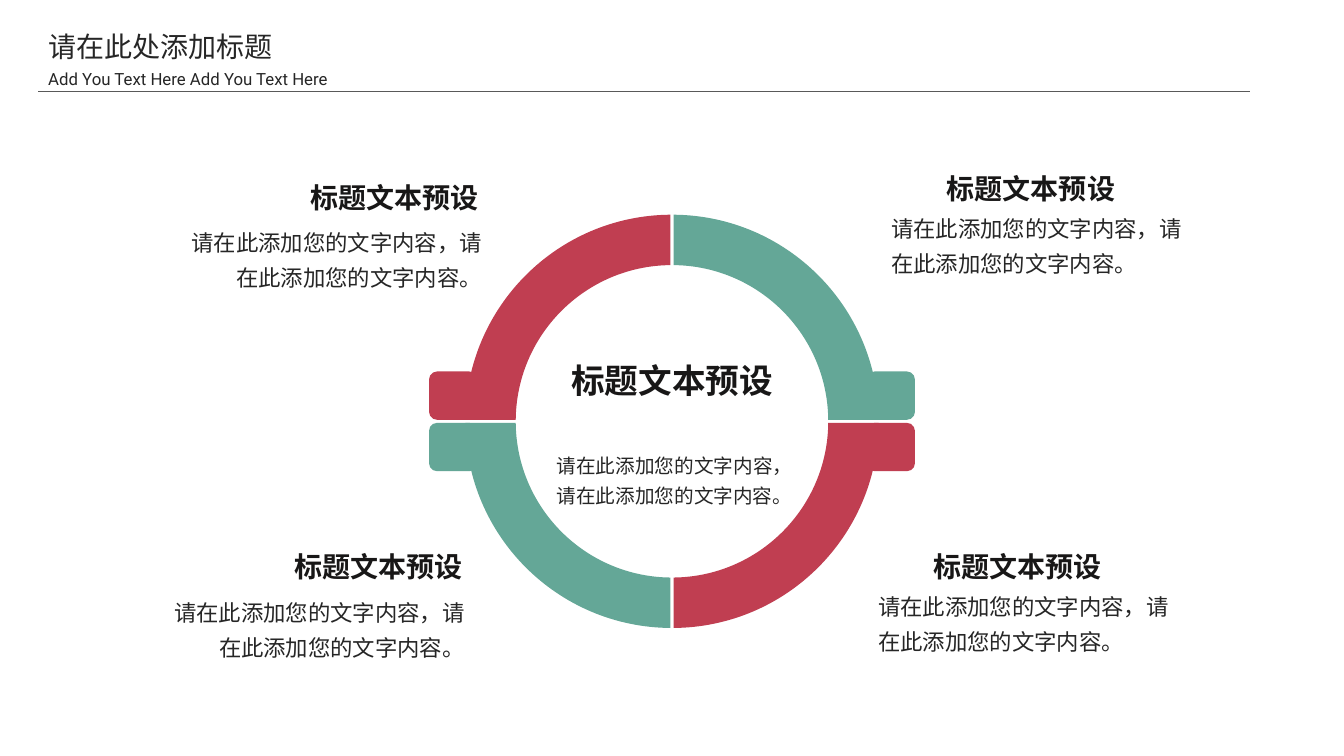
from dataclasses import dataclass
from math import asin, cos, pi, sin, tan

from lxml.etree import SubElement
from pptx import Presentation
from pptx.dml.color import RGBColor
from pptx.enum.lang import MSO_LANGUAGE_ID
from pptx.enum.shapes import MSO_CONNECTOR, MSO_SHAPE
from pptx.enum.text import MSO_ANCHOR, MSO_AUTO_SIZE, PP_ALIGN
from pptx.oxml.ns import qn
from pptx.util import Inches, Pt

TITLE = "请在此处添加标题"
SUBTITLE = "Add You Text Here Add You Text Here"
HEADING = "标题文本预设"
BODY = "请在此添加您的文字内容，请在此添加您的文字内容。"

LEFT, CENTER, RIGHT = PP_ALIGN.LEFT, PP_ALIGN.CENTER, PP_ALIGN.RIGHT
# heading left and top, body left and top, body alignment
CALLOUTS = [
    (2.54, 1.81, 1.89, 2.19, RIGHT),
    (2.38, 5.47, 1.72, 5.86, RIGHT),
    (8.85, 1.72, 8.84, 2.05, LEFT),
    (8.72, 5.47, 8.71, 5.80, LEFT),
]


@dataclass(frozen=True)
class Theme:
    font: str = "Roboto"
    teal: str = "64A797"
    red: str = "C03E51"
    dark: str = "181717"
    text: str = "262626"
    rule: str = "595959"
    center_size: int = 24
    heading_size: int = 20
    body_size: int = 16
    center_body_size: int = 14
    subtitle_size: int = 12


THEME = Theme()
WIDTH, HEIGHT = 13.33, 7.5
MARGIN = 0.38
CENTER_X, CENTER_Y = WIDTH / 2, 4.18
OUTER, INNER = 2.05, 1.55
HALF_GAP = 0.015
TAB, TAB_OFFSET = 0.48, 1.93
DEFAULT_INSETS = (0.1, 0.05)


def write(shape, text, *, size, color=THEME.text, bold=False, align=LEFT,
          anchor=MSO_ANCHOR.TOP, insets=(0, 0), spacing=None, grow=False):
    frame = shape.text_frame
    frame.word_wrap = True
    frame.auto_size = MSO_AUTO_SIZE.SHAPE_TO_FIT_TEXT if grow else MSO_AUTO_SIZE.NONE
    frame.vertical_anchor = anchor
    frame.margin_left = frame.margin_right = Inches(insets[0])
    frame.margin_top = frame.margin_bottom = Inches(insets[1])
    paragraph = frame.paragraphs[0]
    paragraph.alignment = align
    if spacing:
        paragraph.line_spacing = spacing
    run = paragraph.add_run()
    run.text = text
    run.font.name = THEME.font
    run.font.size = Pt(size)
    run.font.bold = bold
    run.font.color.rgb = RGBColor.from_string(color)
    if text != SUBTITLE:
        run.font.language_id = MSO_LANGUAGE_ID.SIMPLIFIED_CHINESE


def add_text(slide, box, text, **text_format):
    write(slide.shapes.add_textbox(*map(Inches, box)), text, **text_format)


def paint(shape, color):
    shape.shadow.inherit = False
    shape.fill.solid()
    shape.fill.fore_color.rgb = RGBColor.from_string(color)
    shape.line.fill.background()


def quarter_arc(radius, side_x, side_y):
    """Bezier start, two handles and end, from the vertical to the horizontal gap."""
    start = asin(HALF_GAP / radius)
    end = pi / 2 - start
    handle = 4 / 3 * tan((end - start) / 4)
    offsets = [
        (sin(start), cos(start)),
        (sin(start) + handle * cos(start), cos(start) - handle * sin(start)),
        (sin(end) - handle * cos(end), cos(end) + handle * sin(end)),
        (sin(end), cos(end)),
    ]
    return [(Inches(CENTER_X + side_x * radius * x),
             Inches(CENTER_Y + side_y * radius * y)) for x, y in offsets]


def curve_lines(lines):
    """Turn three straight segments into one cubic curve through the last point."""
    curve = lines[0].getparent().makeelement(qn("a:cubicBezTo"))
    lines[0].addprevious(curve)
    for line in lines:
        curve.append(line[0])
        line.getparent().remove(line)


def add_ring_quadrant(slide, side_x, side_y, color):
    points = quarter_arc(OUTER, side_x, side_y) + quarter_arc(INNER, side_x, side_y)[::-1]
    builder = slide.shapes.build_freeform(*points[0])
    builder.add_line_segments(points[1:], close=True)
    quadrant = builder.convert_to_shape()
    lines = list(quadrant._element.iter(qn("a:lnTo")))
    curve_lines(lines[:3])
    curve_lines(lines[4:7])
    paint(quadrant, color)


def add_tab(slide, side_x, side_y, color):
    left = CENTER_X + side_x * (TAB_OFFSET + TAB / 2) - TAB / 2
    top = CENTER_Y + side_y * (HALF_GAP + TAB / 2) - TAB / 2
    tab = slide.shapes.add_shape(
        MSO_SHAPE.ROUNDED_RECTANGLE, *map(Inches, (left, top, TAB, TAB)))
    paint(tab, color)


def add_header(slide):
    title = slide.shapes.title
    title.left, title.top, title.width, title.height = map(
        Inches, (MARGIN, 0.24, 2.75, 0.44))
    write(title, TITLE, size=THEME.heading_size, insets=DEFAULT_INSETS, grow=True)
    add_text(slide, (MARGIN, 0.57, 3.34, 0.34), SUBTITLE, size=THEME.subtitle_size,
             insets=DEFAULT_INSETS, spacing=1.3, grow=True)
    rule = slide.shapes.add_connector(
        MSO_CONNECTOR.STRAIGHT, *map(Inches, (MARGIN, 0.91, 12.4, 0.91)))
    rule.line.color.rgb = RGBColor.from_string(THEME.rule)
    rule.line.width = Pt(0.5)
    SubElement(rule._element.spPr, qn("a:effectLst"))


def main():
    presentation = Presentation()
    presentation.slide_width, presentation.slide_height = Inches(WIDTH), Inches(HEIGHT)
    slide = presentation.slides.add_slide(presentation.slide_layouts[5])

    for add_part in (add_ring_quadrant, add_tab):
        for side_x in (1, -1):
            for side_y in (-1, 1):
                color = THEME.red if side_x == side_y else THEME.teal
                add_part(slide, side_x, side_y, color)

    add_text(slide, (5.26, 3.54, 2.81, 0.45), HEADING, size=THEME.center_size,
             color=THEME.dark, bold=True, align=CENTER, anchor=MSO_ANCHOR.MIDDLE)
    add_text(slide, (5.51, 4.43, 2.35, 0.58), BODY, size=THEME.center_body_size,
             align=RIGHT, spacing=1.3, grow=True)
    for heading_left, heading_top, body_left, body_top, align in CALLOUTS:
        add_text(slide, (heading_left, heading_top, 2.32, 0.3), HEADING,
                 size=THEME.heading_size, color=THEME.dark, bold=True, align=RIGHT,
                 anchor=MSO_ANCHOR.MIDDLE, insets=(0.11, 0.05))
        add_text(slide, (body_left, body_top, 2.89, 0.68), BODY, size=THEME.body_size,
                 align=align, spacing=1.3, grow=True)
    add_header(slide)
    presentation.save("out.pptx")


if __name__ == "__main__":
    main()
